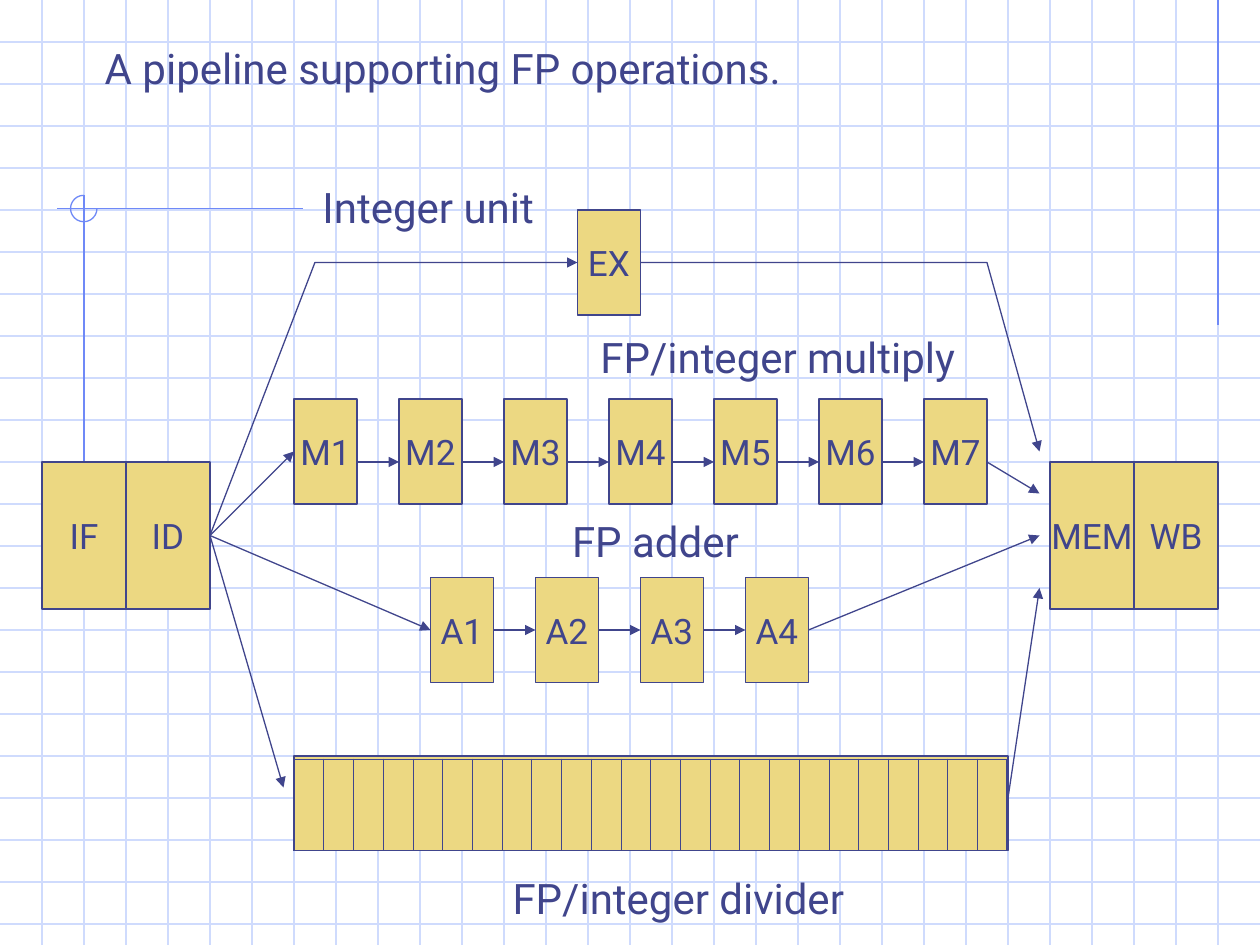
from lxml import etree
from pptx import Presentation
from pptx.dml.color import RGBColor
from pptx.enum.shapes import MSO_CONNECTOR, MSO_SHAPE
from pptx.enum.text import MSO_ANCHOR, MSO_AUTO_SIZE, PP_ALIGN
from pptx.oxml.ns import qn
from pptx.util import Pt

STRAIGHT = MSO_CONNECTOR.STRAIGHT
RECT, ARC = MSO_SHAPE.RECTANGLE, MSO_SHAPE.ARC
LEFT, CENTER = PP_ALIGN.LEFT, PP_ALIGN.CENTER
TOP, MIDDLE = MSO_ANCHOR.TOP, MSO_ANCHOR.MIDDLE
FIXED = MSO_AUTO_SIZE.NONE
COLORS = {"ink": "40458C", "fill": "ECD882", "grid": "CFDBFD", "trim": "6F89F7"}


def draw(shape, color, arrow=False):
    """Set a thin outline without shadow, with an arrowhead at the end if asked."""
    shape.line.color.rgb = RGBColor.from_string(COLORS[color])
    shape.line.width = Pt(0.75)
    props = shape.element.spPr
    if arrow:
        etree.SubElement(props.find(qn("a:ln")), qn("a:tailEnd"), type="triangle")
    etree.SubElement(props, qn("a:effectLst"))


def write(shape, text, size, align, anchor):
    frame = shape.text_frame
    frame.text = text
    frame.word_wrap = False
    frame.auto_size = FIXED
    frame.vertical_anchor = anchor
    para = frame.paragraphs[0]
    para.alignment = align
    font = para.runs[0].font
    font.name, font.size = "Roboto", Pt(size)
    font.color.rgb = RGBColor.from_string(COLORS["ink"])


prs = Presentation()
wide, high = 720, 540
prs.slide_width, prs.slide_height = Pt(wide), Pt(high)
slide = prs.slides.add_slide(prs.slide_layouts[5])
shapes = slide.shapes

# Squared paper and trim lines
step = 24
rules = [(0, y, wide, y, "grid") for y in range(step, high, step)]
rules += [(x, 0, x, high, "grid") for x in range(step, wide, step)]
rules += [
    (696, 0, 696, 186, "trim"),
    (173, 119.3, 32.5, 119.3, "trim"),
    (48, 111.6, 48, 294.5, "trim"),
]
for x1, y1, x2, y2, color in rules:
    rule = shapes.add_connector(STRAIGHT, Pt(x1), Pt(y1), Pt(x2), Pt(y2))
    draw(rule, color)
ring = shapes.add_shape(ARC, Pt(40.3), Pt(111.6), Pt(15.1), Pt(15.1))
ring.adjustments[0] = 0
ring.adjustments[1] = 162  # 270 degrees
ring.fill.background()
draw(ring, "trim")

# Pipeline stages
stages = [(f"M{i + 1}", 168 + 60 * i, 228, 36, 60) for i in range(7)]
stages += [(f"A{i + 1}", 246 + 60 * i, 330, 36, 60) for i in range(4)]
stages += [("EX", 330, 120, 36, 60)]
stages += [
    (name, x, 264, 48, 84)
    for name, x in [("MEM", 600), ("ID", 72), ("WB", 648), ("IF", 24)]
]
stages += [("", 168, 432, 408, 54)]
boxes = {}
for name, x, y, w, h in stages:
    box = shapes.add_shape(RECT, Pt(x), Pt(y), Pt(w), Pt(h))
    box.fill.solid()
    box.fill.fore_color.rgb = RGBColor.from_string(COLORS["fill"])
    draw(box, "ink")
    if name:
        write(box, name, 20, CENTER, MIDDLE)
    boxes[name] = box

# Divider cells
count = 24
table = shapes.add_table(1, count, Pt(168), Pt(434), Pt(408), Pt(52)).table
table.first_row = table.horz_banding = False
for i in range(count):
    table.columns[i].width = Pt(17)
    cell = table.cell(0, i)
    cell.margin_left = cell.margin_right = 0
    widths = {
        "L": 1.08 if i == 0 else 0.45,
        "R": 1.08 if i == count - 1 else 0.45,
        "T": 1.08,
        "B": 1.08,
    }
    props = cell._tc.get_or_add_tcPr()
    for side, width in widths.items():
        edge = etree.SubElement(props, qn(f"a:ln{side}"), w=str(Pt(width)))
        solid = etree.SubElement(edge, qn("a:solidFill"))
        etree.SubElement(solid, qn("a:srgbClr"), val=COLORS["ink"])
    cell.fill.background()

# Arrows: ends, then the stages joined at either end
arrows = [(204 + 60 * i, 264, 228 + 60 * i, 264, None, None) for i in range(6)]
arrows += [
    (282 + 60 * i, 360, 306 + 60 * i, 360, f"A{i + 1}", f"A{i + 2}") for i in range(3)
]
arrows += [
    (120, 306, 168, 258, "ID", "M1"),
    (120, 306, 246, 360, "ID", "A1"),
    (120, 306, 162, 450, "ID", None),
    (564, 264, 594, 282, None, None),
    (462, 360, 594, 306, "A4", None),
    (576, 456, 594, 336, None, None),
]
for x1, y1, x2, y2, start, end in arrows:
    arrow = shapes.add_connector(STRAIGHT, Pt(x1), Pt(y1), Pt(x2), Pt(y2))
    if start:
        arrow.begin_connect(boxes[start], 3)
    if end:
        arrow.end_connect(boxes[end], 1)
    draw(arrow, "ink", True)

bends = [
    [(120, 306), (180, 150), (330, 150)],
    [(366, 150), (564, 150), (594, 258)],
]
for bend in bends:
    first, *rest = [(Pt(x), Pt(y)) for x, y in bend]
    pen = shapes.build_freeform(*first)
    pen.add_line_segments(rest, close=False)
    route = pen.convert_to_shape()
    route.fill.background()
    draw(route, "ink", True)

# Labels and title
labels = [
    ("Integer unit", 177.2, 100.3, 148),
    ("FP/integer multiply", 336, 186, 230),
    ("FP adder", 319.8, 291, 114),
    ("FP/integer divider", 285.8, 494.8, 215),
]
for text, x, y, w in labels:
    label = shapes.add_textbox(Pt(x), Pt(y), Pt(w), Pt(36))
    write(label, text, 24, LEFT, TOP)

title = shapes.title
title.left, title.top, title.width, title.height = Pt(52.6), Pt(20.4), Pt(425), Pt(36)
write(title, "A pipeline supporting FP operations.", 24, LEFT, TOP)
shapes.element.append(title.element)  # in front of the grid

prs.save("out.pptx")
